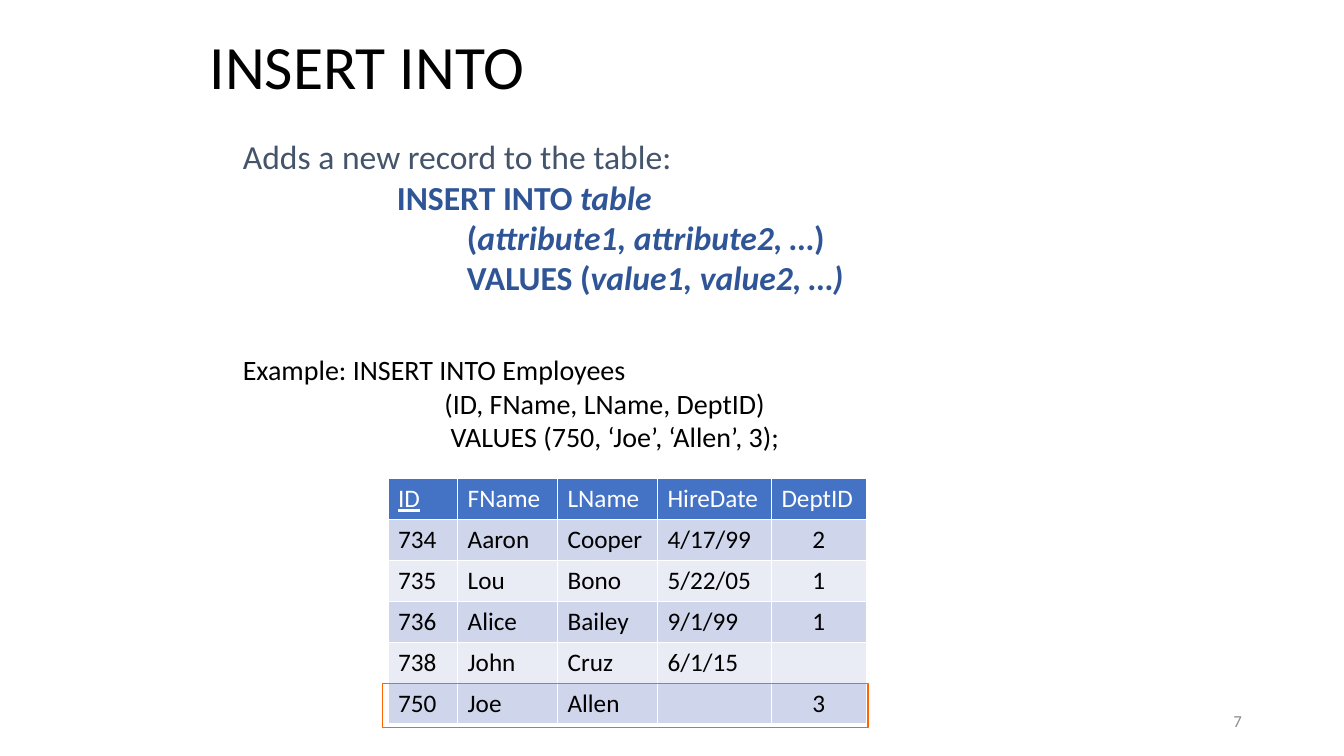
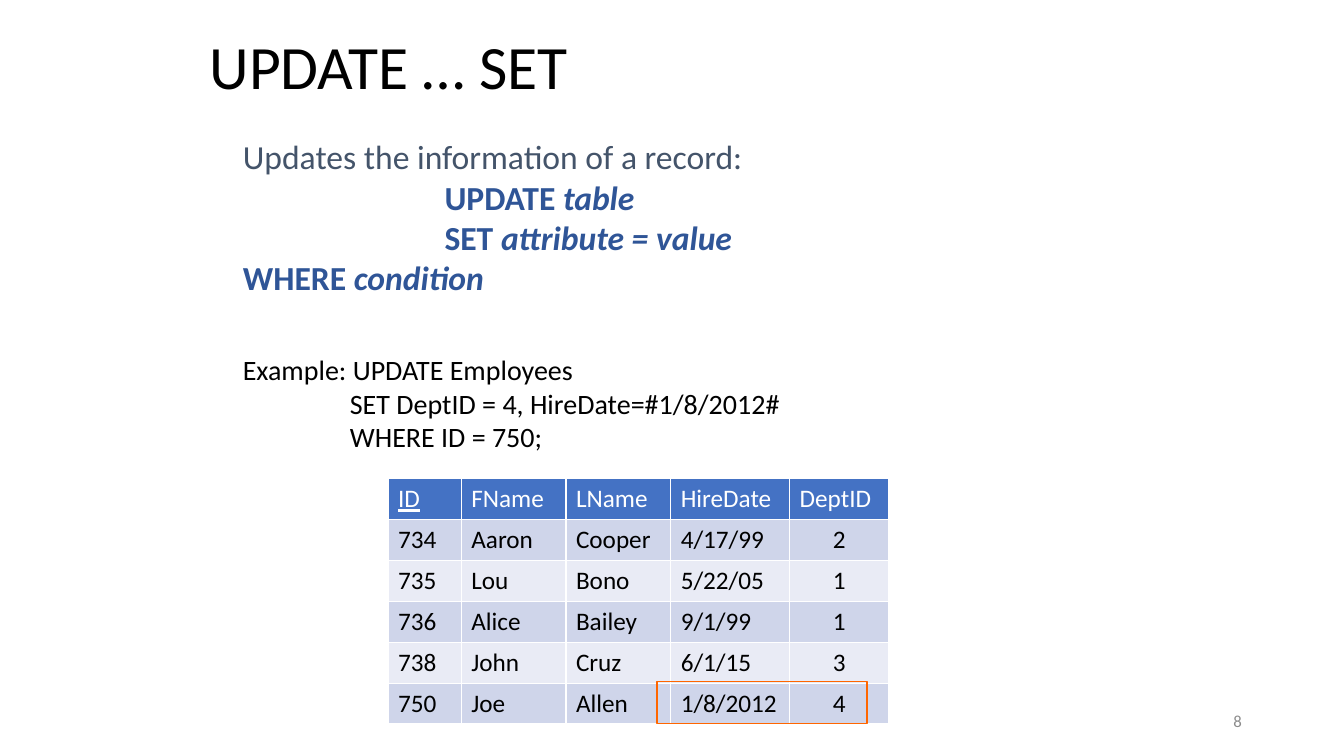
from dataclasses import dataclass

from lxml.etree import SubElement
from pptx import Presentation
from pptx.dml.color import RGBColor
from pptx.enum.shapes import MSO_SHAPE
from pptx.enum.text import MSO_ANCHOR, MSO_AUTO_SIZE, PP_ALIGN
from pptx.oxml.ns import qn
from pptx.util import Pt


# Colours and type sizes
@dataclass(frozen=True)
class Theme:
    font: str = "Calibri"
    black: str = "000000"
    white: str = "FFFFFF"
    intro: str = "44546A"
    syntax: str = "2F5597"
    grey: str = "8C8C8C"
    header: str = "4472C4"
    bands: tuple = ("CFD5EA", "E9EBF5")
    accent: str = "FF6600"
    title_size: int = 44
    body_size: int = 24
    example_size: int = 20
    table_size: int = 18
    number_size: int = 12


class Deck:
    """Holds the style and the current slide."""

    def __init__(self, theme):
        self.t = theme
        self.prs = Presentation()
        self.prs.slide_width, self.prs.slide_height = Pt(960), Pt(540)
        self.s = None

    def place(self, sp, left, top, width, height):
        box = dict(left=left, top=top, width=width, height=height)
        for name, value in box.items():
            setattr(sp, name, Pt(value))

    def run(self, p, text, size, color, **fmt):
        r = p.add_run()
        r.text = text
        fmt = {"name": self.t.font, "size": Pt(size), "bold": False, **fmt}
        for name, value in fmt.items():
            setattr(r.font, name, value)
        r.font.color.rgb = RGBColor.from_string(color)

    def frame(self, sp, anchor):
        tf = sp.text_frame
        fmt = dict(word_wrap=True, auto_size=MSO_AUTO_SIZE.NONE,
                   vertical_anchor=anchor)
        for name, value in fmt.items():
            setattr(tf, name, value)
        return tf

    def paragraph(self, tf, index, indent=0):
        """Return a paragraph without bullet, indented by some points."""
        p = tf.add_paragraph() if index else tf.paragraphs[0]
        p.space_before = Pt(0)
        pPr = p._p.get_or_add_pPr()
        pPr.set("marL", str(Pt(indent)))
        pPr.set("indent", "0")
        SubElement(pPr, qn("a:buNone"))
        return p

    def slide(self, title):
        self.s = self.prs.slides.add_slide(self.prs.slide_layouts[1])
        sp = self.s.shapes.title
        self.place(sp, 142.5, 6.5, 665, 87)
        p = self.frame(sp, MSO_ANCHOR.MIDDLE).paragraphs[0]
        p.alignment, p.line_spacing = PP_ALIGN.LEFT, 0.9
        self.run(p, title, self.t.title_size, self.t.black)

    def syntax(self, intro, lines):
        """Intro sentence, then lines of (indent, (text, italic), ...)."""
        sp = self.s.placeholders[1]
        self.place(sp, 166.3, 93.6, 513.5, 124)
        tf = self.frame(sp, MSO_ANCHOR.TOP)
        size = self.t.body_size
        self.run(self.paragraph(tf, 0), intro, size, self.t.intro)
        for i, (indent, *parts) in enumerate(lines, 1):
            p = self.paragraph(tf, i, indent)
            for text, italic in parts:
                self.run(p, text, size, self.t.syntax, bold=True, italic=italic)

    def example(self, lines):
        sp = self.s.shapes.add_textbox(Pt(166.3), Pt(248.4), Pt(513.5), Pt(80))
        tf = self.frame(sp, MSO_ANCHOR.TOP)
        for i, (indent, text) in enumerate(lines):
            self.run(self.paragraph(tf, i, indent), text,
                     self.t.example_size, self.t.black)

    def table(self, rows, widths, row_height=29.2):
        sp = self.s.shapes.add_table(
            len(rows), len(widths), Pt(277.2), Pt(342),
            Pt(sum(widths)), Pt(row_height * len(rows)))
        tbl = sp.table
        for col, width in zip(tbl.columns, widths):
            col.width = Pt(width)
        for i, row in enumerate(rows):
            tbl.rows[i].height = Pt(row_height)
            fill = self.t.bands[(i - 1) % 2] if i else self.t.header
            color = self.t.black if i else self.t.white
            for j, text in enumerate(row):
                cell = tbl.cell(i, j)
                cell.fill.solid()
                cell.fill.fore_color.rgb = RGBColor.from_string(fill)
                if not text:
                    continue
                p = cell.text_frame.paragraphs[0]
                if i and j == len(row) - 1:
                    p.alignment = PP_ALIGN.CENTER
                self.run(p, text, self.t.table_size, color,
                         underline=text == "ID")

    def highlight(self, *box):
        sp = self.s.shapes.add_shape(MSO_SHAPE.RECTANGLE, *map(Pt, box))
        sp.shadow.inherit = False
        sp.fill.background()
        sp.line.color.rgb = RGBColor.from_string(self.t.accent)
        sp.line.width = Pt(1)

    def number(self, n):
        sp = self.s.shapes.add_textbox(Pt(678.2), Pt(500.5), Pt(216), Pt(28.75))
        p = self.frame(sp, MSO_ANCHOR.MIDDLE).paragraphs[0]
        p.alignment = PP_ALIGN.RIGHT
        self.run(p, str(n), self.t.number_size, self.t.grey)


# Table rows common to both slides
HEADER = ("ID", "FName", "LName", "HireDate", "DeptID")
EMPLOYEES = [
    ("734", "Aaron", "Cooper", "4/17/99", "2"),
    ("735", "Lou", "Bono", "5/22/05", "1"),
    ("736", "Alice", "Bailey", "9/1/99", "1"),
]
JOHN = ("738", "John", "Cruz", "6/1/15")
JOE = ("750", "Joe", "Allen")

# Content of each slide
SLIDES = [
    dict(
        number=7,
        title="INSERT INTO",
        intro="Adds a new record to the table:",
        syntax=[
            (110, ("INSERT INTO ", False), ("table", True)),
            (160, ("(", False), ("attribute1, attribute2, …", True),
             (")", False)),
            (160, ("VALUES (", False), ("value1, value2, …)", True)),
        ],
        example=[
            (0, "Example: INSERT INTO Employees"),
            (144, "(ID, FName, LName, DeptID)"),
            (148.5, "VALUES (750, ‘Joe’, ‘Allen’, 3);"),
        ],
        last_rows=[(*JOHN, ""), (*JOE, "", "3")],
        widths=(49.7, 71.4, 71.4, 81.4, 67.7),
        highlight=(273, 488.2, 347, 31.7),
    ),
    dict(
        number=8,
        title="UPDATE … SET",
        intro="Updates the information of a record:",
        syntax=[
            (144, ("UPDATE ", False), ("table", True)),
            (144, ("SET ", False), ("attribute = value", True)),
            (0, ("WHERE ", False), ("condition", True)),
        ],
        example=[
            (0, "Example: UPDATE Employees"),
            (76.5, "SET DeptID = 4, HireDate=#1/8/2012#"),
            (76.5, "WHERE ID = 750;"),
        ],
        last_rows=[(*JOHN, "3"), (*JOE, "1/8/2012", "4")],
        widths=(52.3, 74.8, 74.8, 85, 71),
        highlight=(469.4, 486.7, 149.8, 30.2),
    ),
]


def main():
    deck = Deck(Theme())
    for c in SLIDES:
        deck.slide(c["title"])
        deck.number(c["number"])
        deck.table([HEADER, *EMPLOYEES, *c["last_rows"]], c["widths"])
        deck.example(c["example"])
        deck.syntax(c["intro"], c["syntax"])
        deck.highlight(*c["highlight"])
    deck.prs.save("out.pptx")


if __name__ == "__main__":
    main()
